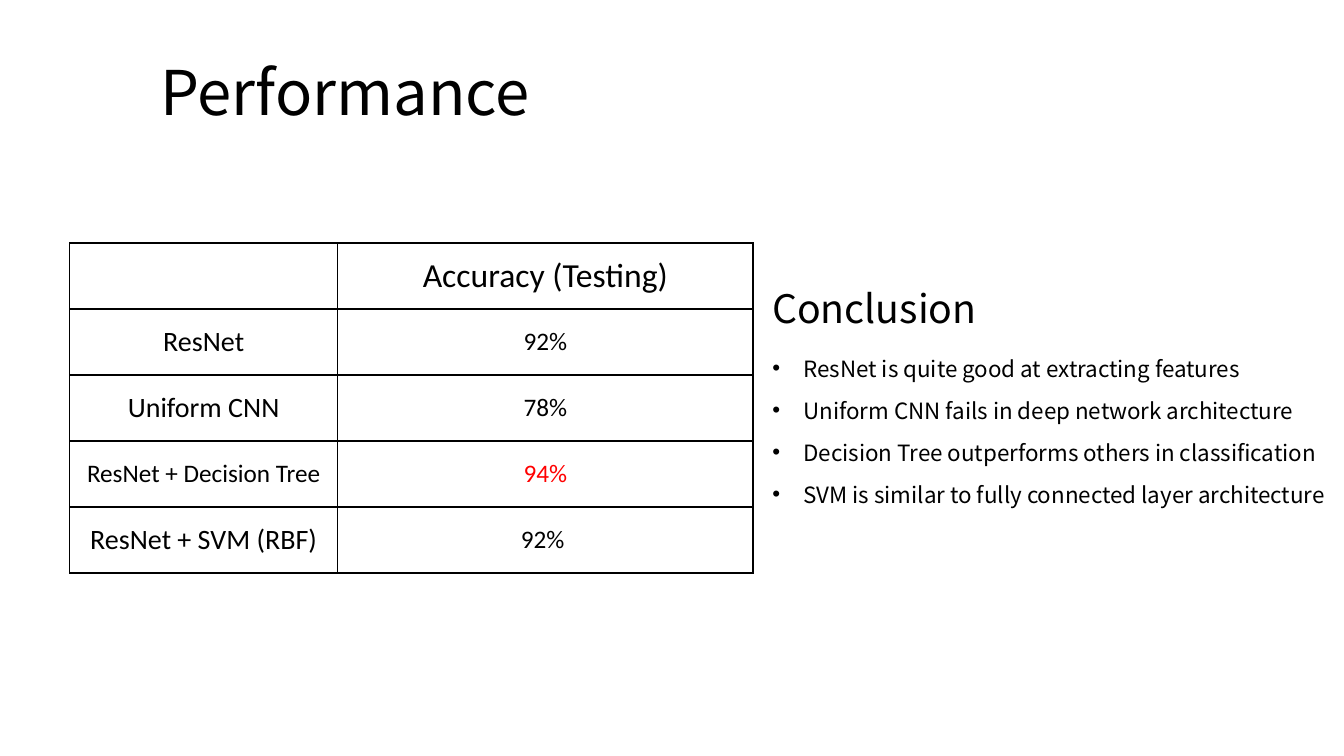
from dataclasses import dataclass

from pptx import Presentation
from pptx.dml.color import RGBColor
from pptx.enum.text import MSO_ANCHOR as Anchor, MSO_AUTO_SIZE as AutoSize, PP_ALIGN as Align
from pptx.oxml.ns import qn
from pptx.util import Inches, Pt
from lxml.etree import SubElement

SLIDE_W, SLIDE_H = Inches(13.33), Inches(7.5)
BLACK, RED, WHITE = "000000", "FF0000", "FFFFFF"
HEADING_FONT, TABLE_FONT = "Noto Sans CJK SC", "Calibri"
BULLET_INDENT = Inches(0.31)


@dataclass(frozen=True)
class Region:
    """An area of the slide, in percent of its width and height."""
    left: float
    top: float
    width: float
    height: float

    def box(self) -> tuple[int, int, int, int]:
        return (across(self.left), down(self.top), across(self.width), down(self.height))


@dataclass(frozen=True)
class Entry:
    words: str
    size: int
    color: str = BLACK


@dataclass(frozen=True)
class Line:
    words: str
    size: int
    space_before: float
    bulleted: bool = True


TITLE_REGION = Region(11.18, 6.8, 79.89, 11.73)
ACCURACY_REGION = Region(5.18, 32.13, 50.85, 43.7)
CONCLUSION_REGION = Region(56.71, 36.93, 43.29, 31.2)
COLUMN_SHARES = (19.95, 30.9)

ACCURACY = [
    (Entry("", 24), Entry("Accuracy (Testing)", 24)),
    (Entry("ResNet", 20), Entry("92%", 18)),
    (Entry("Uniform CNN", 20), Entry("78%", 18)),
    (Entry("ResNet + Decision Tree", 18), Entry("94%", 18, RED)),
    (Entry("ResNet + SVM (RBF)", 20), Entry("92% ", 18)),
]

CONCLUSION = [
    Line("Conclusion", 28, 0, bulleted=False),
    Line("ResNet is quite good at extracting features", 16, 16.8),
    Line("Uniform CNN fails in deep network architecture", 16, 10.8),
    Line("Decision Tree outperforms others in classification", 16, 10.8),
    Line("SVM is similar to fully connected layer architecture", 16, 10.8),
]


def across(percent: float) -> int:
    return round(SLIDE_W * percent / 100)


def down(percent: float) -> int:
    return round(SLIDE_H * percent / 100)


def rgb(color: str) -> RGBColor:
    return RGBColor.from_string(color)


def place(shape, region: Region) -> None:
    shape.left, shape.top, shape.width, shape.height = region.box()


def add_run(paragraph, words: str, size: int, font: str, color: str = BLACK) -> None:
    run = paragraph.add_run()
    run.text = words
    run.font.size = Pt(size)
    run.font.name = font
    run.font.color.rgb = rgb(color)


def add_borders(cell, color: str = BLACK) -> None:
    properties = cell._tc.get_or_add_tcPr()
    for side in ("lnL", "lnR", "lnT", "lnB"):
        border = SubElement(properties, qn(f"a:{side}"), w=str(Pt(1)))
        fill = SubElement(border, qn("a:solidFill"))
        SubElement(fill, qn("a:srgbClr"), val=color)


def fill_title(title) -> None:
    place(title, TITLE_REGION)
    frame = title.text_frame
    frame.auto_size = AutoSize.NONE
    frame.vertical_anchor = Anchor.MIDDLE
    heading = frame.paragraphs[0]
    heading.alignment = Align.LEFT
    heading.line_spacing = 0.9
    add_run(heading, "Performance", 44, HEADING_FONT)


def add_accuracy_table(slide) -> None:
    frame = slide.shapes.add_table(len(ACCURACY), len(COLUMN_SHARES), *ACCURACY_REGION.box())
    table = frame.table
    table.first_row = table.horz_banding = False
    for column, share in zip(table.columns, COLUMN_SHARES):
        column.width = across(share)
    for row, entries in zip(table.rows, ACCURACY):
        row.height = down(ACCURACY_REGION.height / len(ACCURACY))
        for cell, entry in zip(row.cells, entries):
            add_borders(cell)
            cell.fill.solid()
            cell.fill.fore_color.rgb = rgb(WHITE)
            cell.vertical_anchor = Anchor.MIDDLE
            paragraph = cell.text_frame.paragraphs[0]
            paragraph.alignment = Align.CENTER
            if entry.words:
                add_run(paragraph, entry.words, entry.size, TABLE_FONT, entry.color)


def set_bullet(paragraph, bulleted: bool) -> None:
    properties = paragraph._p.get_or_add_pPr()
    indent = BULLET_INDENT if bulleted else 0
    properties.set("marL", str(indent))
    properties.set("indent", str(-indent))
    if bulleted:
        SubElement(properties, qn("a:buChar"), char="•")
    else:
        SubElement(properties, qn("a:buNone"))


def fill_conclusion(body) -> None:
    place(body, CONCLUSION_REGION)
    frame = body.text_frame
    frame.word_wrap = True
    frame.auto_size = AutoSize.NONE
    frame.vertical_anchor = Anchor.TOP
    for number, line in enumerate(CONCLUSION):
        paragraph = frame.add_paragraph() if number else frame.paragraphs[0]
        paragraph.alignment = Align.LEFT
        paragraph.line_spacing = 1.0
        paragraph.space_before = Pt(line.space_before)
        paragraph.space_after = Pt(0)
        set_bullet(paragraph, line.bulleted)
        add_run(paragraph, line.words, line.size, HEADING_FONT)


def main() -> None:
    deck = Presentation()
    deck.slide_width, deck.slide_height = SLIDE_W, SLIDE_H
    slide = deck.slides.add_slide(deck.slide_layouts[1])
    fill_title(slide.shapes.title)
    add_accuracy_table(slide)
    fill_conclusion(slide.placeholders[1])
    deck.save("out.pptx")


if __name__ == "__main__":
    main()
